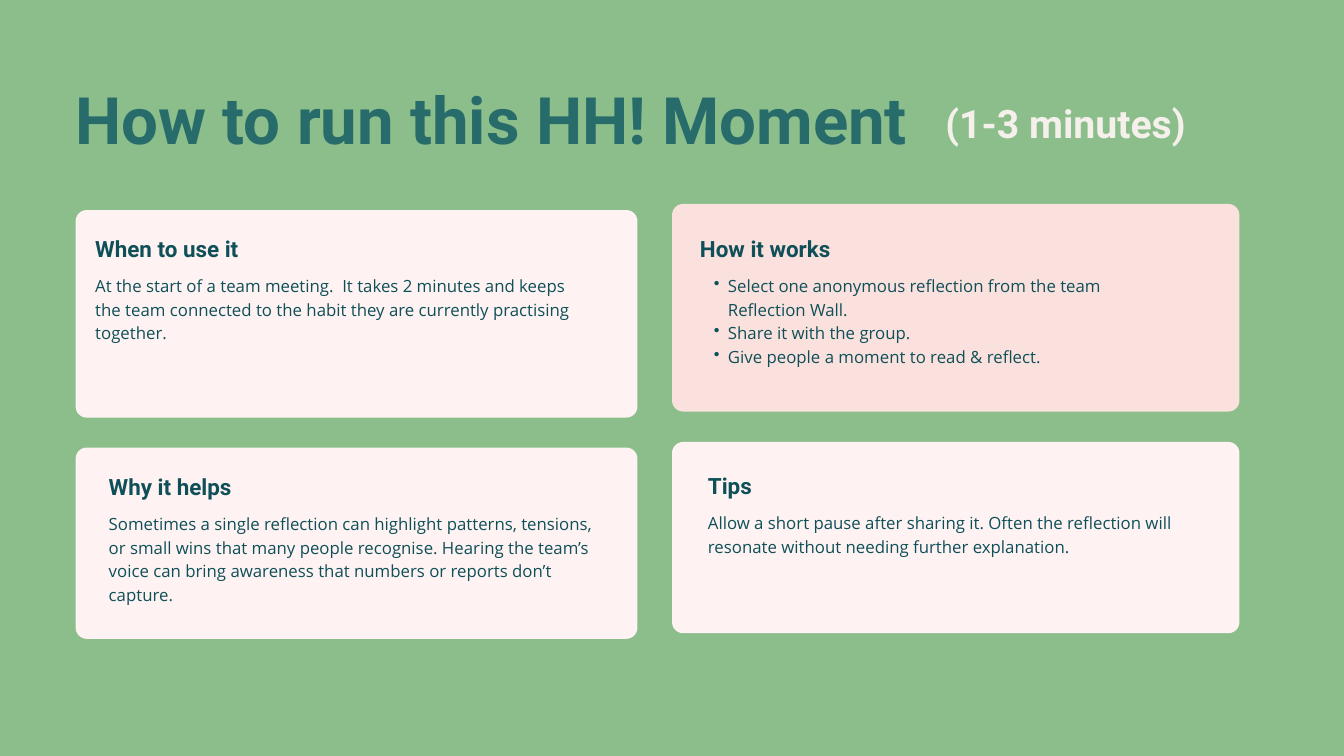
"""Build the slide that explains how to run a short team reflection moment."""
from lxml import etree
from pptx import Presentation
from pptx.dml.color import RGBColor
from pptx.enum.shapes import MSO_SHAPE as Preset
from pptx.enum.text import MSO_ANCHOR as Anchor, MSO_AUTO_SIZE as AutoSize, PP_ALIGN as Align
from pptx.oxml.ns import qn
from pptx.util import Pt

COLORS = {
    "background": "8BBE8A",
    "title": "276B6B",
    "duration": "F5F0EB",
    "text": "0F4F58",
    "card": "FEF3F2",
    "highlight": "FBE1DE",
}
RADIUS = 12
HEADING = dict(size=24, spacing=33.6, bold=True)
BODY = dict(size=18, spacing=25.2, font="Open Sans")


def write_text(shape, *lines, box, size, spacing, font="Roboto", color="text", bold=False, bullets=False):
    shape.left, shape.top, shape.width, shape.height = (Pt(length) for length in box)
    frame = shape.text_frame
    frame.word_wrap = True
    frame.auto_size = AutoSize.NONE
    frame.vertical_anchor = Anchor.TOP
    frame.margin_left = frame.margin_top = frame.margin_right = frame.margin_bottom = 0
    for index, line in enumerate(lines):
        paragraph = frame.add_paragraph() if index else frame.paragraphs[0]
        if bullets:
            paragraph.level = 1
            properties = paragraph._p.get_or_add_pPr()
            properties.set("marL", str(Pt(30)))
            properties.set("indent", str(Pt(-15)))
            etree.SubElement(properties, qn("a:buChar")).set("char", "•")
        paragraph.alignment = Align.LEFT
        paragraph.line_spacing = Pt(spacing)
        run = paragraph.add_run()
        run.text = line
        run.font.name = font
        run.font.size = Pt(size)
        run.font.bold = bold
        run.font.color.rgb = RGBColor.from_string(COLORS[color])


presentation = Presentation()
presentation.slide_width, presentation.slide_height = Pt(1440), Pt(810)
slide = presentation.slides.add_slide(presentation.slide_layouts[5])
slide.background.fill.solid()
slide.background.fill.fore_color.rgb = RGBColor.from_string(COLORS["background"])

write_text(slide.shapes.title, "How to run this HH! Moment", box=(81, 70.5, 943, 94.5),
           size=70, spacing=98, color="title", bold=True)
write_text(slide.shapes.add_textbox(0, 0, 0, 0), "(1-3 minutes)", box=(1013, 98, 346, 56),
           size=42, spacing=58.8, color="duration", bold=True)

cards = [
    ((81, 225, 602, 222.5), "card", (102, 247.5), 531, "When to use it",
     ["At the start of a team meeting.  It takes 2 minutes and keeps the team connected "
      "to the habit they are currently practising together."]),
    ((720, 218.5, 608, 222.5), "highlight", (750, 247.5), 490, "How it works",
     ["Select one anonymous reflection from the team Reflection Wall.",
      "Share it with the group.",
      "Give people a moment to read & reflect."]),
    ((81, 479.5, 602, 205), "card", (116.5, 502.5), 531, "Why it helps",
     ["Sometimes a single reflection can highlight patterns, tensions, or small wins that "
      "many people recognise. Hearing the team’s voice can bring awareness that numbers or "
      "reports don’t capture."]),
    ((720, 473.5, 608, 205), "card", (758.5, 501.5), 531, "Tips",
     ["Allow a short pause after sharing it. Often the reflection will resonate without "
      "needing further explanation."]),
]

for box, fill, (left, top), text_width, heading, lines in cards:
    card = slide.shapes.add_shape(Preset.ROUNDED_RECTANGLE, *(Pt(length) for length in box))
    card.adjustments[0] = RADIUS / box[3]
    card.shadow.inherit = False
    card.fill.solid()
    card.fill.fore_color.rgb = RGBColor.from_string(COLORS[fill])
    card.line.fill.background()
    write_text(slide.shapes.add_textbox(0, 0, 0, 0), heading, box=(left, top, 184, 32), **HEADING)
    write_text(slide.shapes.add_textbox(0, 0, 0, 0), *lines, box=(left, top + 44.5, text_width, 122),
               bullets=len(lines) > 1, **BODY)

presentation.save("out.pptx")
